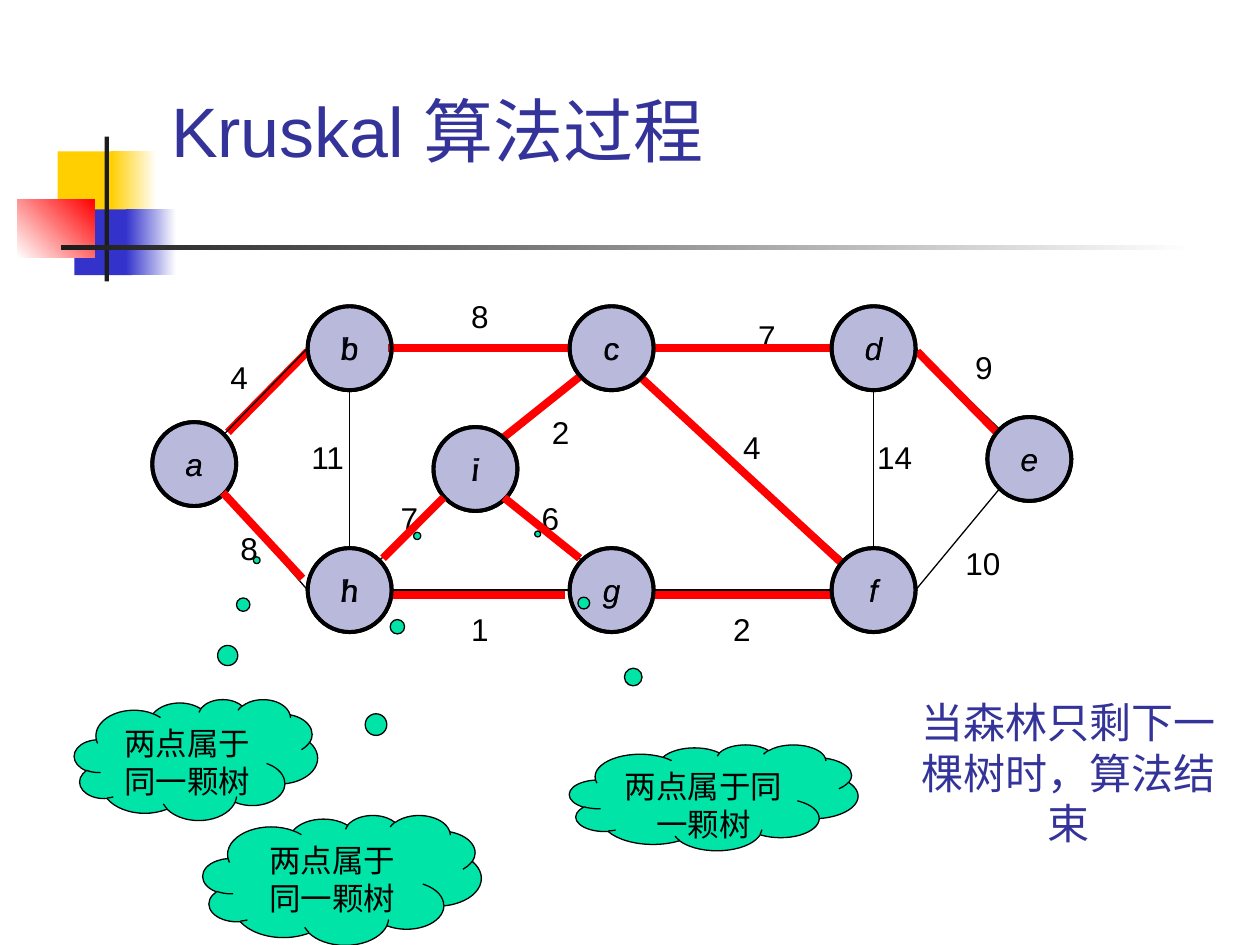
from dataclasses import dataclass
from typing import NamedTuple

from lxml import etree
from pptx import Presentation
from pptx.dml.color import RGBColor
from pptx.enum.shapes import MSO_CONNECTOR, MSO_SHAPE
from pptx.enum.text import MSO_ANCHOR, PP_ALIGN
from pptx.oxml.ns import qn
from pptx.util import Pt

RECT, OVAL, CLOUD = MSO_SHAPE.RECTANGLE, MSO_SHAPE.OVAL, MSO_SHAPE.CLOUD_CALLOUT
LINE = MSO_CONNECTOR.STRAIGHT
LEFT, CENTER = PP_ALIGN.LEFT, PP_ALIGN.CENTER
TOP, MIDDLE = MSO_ANCHOR.TOP, MSO_ANCHOR.MIDDLE


@dataclass(frozen=True)
class Theme:
    ink: str = "000000"
    white: str = "FFFFFF"
    navy: str = "333399"
    tree: str = "FF0000"
    cloud: str = "00E4A8"
    gold: str = "FFCF01"
    blue: str = "3333CC"
    bar: str = "1C1C1C"
    font: str = "Arial"
    alt: str = "Lato"
    title: int = 40
    note: int = 24
    body: int = 18
    thin: float = 0.75
    ring: float = 2.25
    thick: float = 4.5
    tint: int = 34


T = Theme()


class Box(NamedTuple):
    left: float
    top: float
    width: float
    height: float


class Block(NamedTuple):
    box: Box
    color: str
    end: str = ""
    angle: int = 0


class Node(NamedTuple):
    x: float
    y: float
    slant: bool = True  # whether the lower disc has an italic letter


class Edge(NamedTuple):
    start: str
    out: str
    stop: str
    into: str


class Label(NamedTuple):
    text: str
    left: float
    top: float
    width: float = 23


class Cloud(NamedTuple):
    box: Box
    tail: tuple[float, float]
    font: str


BLOCKS = [
    Block(Box(33, 86.5, 34.5, 37.5), T.gold),
    Block(Box(63.5, 86.5, 26, 37.5), T.gold, T.white),
    Block(Box(42.5, 119.7, 33, 37.5), T.blue),
    Block(Box(72, 119.7, 28.8, 37.5), T.blue, T.white),
    Block(Box(10, 113.8, 44, 33.4), T.white, T.tree, 45),
    Block(Box(59.8, 78, 2.4, 82.8), T.bar),
    Block(Box(34.8, 140.2, 648, 2.4), T.bar, T.white),
]

RADIUS = 24
COL1, COL2, COL3 = 199.8, 349.5, 499.2
ROW1, ROW2 = 199, 337.2
NODES = {
    "b": Node(COL1, ROW1, False), "c": Node(COL2, ROW1, False),
    "h": Node(COL1, ROW2, False), "i": Node(271.7, 268, False),
    "f": Node(COL3, ROW2), "a": Node(111, 265.2), "e": Node(588.2, 262.3),
    "d": Node(COL3, ROW1), "g": Node(COL2, ROW2),
}

DIAG = 0.707
SIDES = {
    "n": (0, -1), "s": (0, 1), "w": (-1, 0), "e": (1, 0),
    "nw": (-DIAG, -DIAG), "ne": (DIAG, -DIAG),
    "sw": (-DIAG, DIAG), "se": (DIAG, DIAG),
}
EDGES = [Edge(*row.split()) for row in (
    "b w a ne", "c w b e", "h w a se", "c e d w", "h e g w", "c sw i ne",
    "i sw h ne", "b s h n", "d e e nw", "g e f w", "d s f n", "c se f nw",
    "i se g nw", "e sw f e",
)]

# Tree edges as x1, y1, x2, y2, by layer: below thin edges, below discs, on top
FIRST = (130.3, 247, 175.7, 200.9)
INNER = [
    (221.8, 198.7, 325.4, 198.7), (288, 249.8, 331.2, 215.3),
    (224.6, 339.8, 322.6, 339.8), (374.4, 198.7, 475.2, 198.7),
    (365.8, 215.3, 481, 321.8), (374.4, 339.8, 475.2, 339.8),
    (524.2, 200.9, 569.5, 247),
]
UPPER = [
    (288, 284.4, 331.2, 319), (218.9, 319, 253.4, 284.4),
    (127.4, 281.5, 172.8, 330.5),
]

LABELS = [
    Label("4", 124.6, 200.9), Label("8", 262.1, 166.3), Label("8", 130.3, 298.8),
    Label("4", 417.6, 241.2), Label("14", 492.5, 247, 37.4),
    Label("7", 426.2, 177.8), Label("9", 550.1, 195.1),
    Label("10", 544.3, 307.4, 34.6), Label("6", 302.4, 281.5),
    Label("7", 221.8, 281.5), Label("2", 308.2, 232.6),
    Label("11", 169.9, 247, 34.6), Label("1", 262.1, 344.9),
    Label("2", 411.8, 344.9),
]

CLOUDS = [
    Cloud(Box(325.4, 425.5, 164.9, 60.5), (-0.61, -2.49), T.font),
    Cloud(Box(115.9, 465.8, 159.1, 74.2), (0.27, -2.65), T.alt),
    Cloud(Box(42.5, 399.6, 139, 69.1), (0.25, -1.65), T.alt),
]


def rgb(code: str) -> RGBColor:
    return RGBColor.from_string(code)


def write(shape, text: str, size: int, color: str = T.ink, font: str = T.font,
          align=CENTER, anchor=TOP, wrap: bool = True, slant: bool = False) -> None:
    frame = shape.text_frame
    frame.text = text
    frame.word_wrap = wrap
    frame.vertical_anchor = anchor
    para = frame.paragraphs[0]
    para.alignment = align
    face = para.runs[0].font
    face.name, face.size, face.italic = font, Pt(size), slant
    face.color.rgb = rgb(color)


def add_text(slide, box: Box, text: str, size: int, **style) -> None:
    write(slide.shapes.add_textbox(*map(Pt, box)), text, size, **style)


def add_shape(slide, kind, box: Box, fill: str, width: float = 0):
    shape = slide.shapes.add_shape(kind, *map(Pt, box))
    shape.shadow.inherit = False
    shape.fill.solid()
    shape.fill.fore_color.rgb = rgb(fill)
    if width:
        shape.line.color.rgb = rgb(T.ink)
        shape.line.width = Pt(width)
    else:
        shape.line.fill.background()
    return shape


def add_block(slide, block: Block) -> None:
    shape = add_shape(slide, RECT, block.box, block.color)
    if block.end:
        shape.fill.gradient()
        shape.fill.gradient_angle = block.angle
        for stop, code in zip(shape.fill.gradient_stops, (block.color, block.end)):
            stop.color.rgb = rgb(code)


def add_line(slide, ends: tuple, color: str, width: float) -> None:
    line = slide.shapes.add_connector(LINE, *map(Pt, ends))
    line.line.color.rgb = rgb(color)
    line.line.width = Pt(width)
    etree.SubElement(line._element.spPr, qn("a:effectLst"))


def add_node(slide, name: str, node: Node, tinted: bool) -> None:
    box = Box(node.x - RADIUS, node.y - RADIUS, 2 * RADIUS, 2 * RADIUS)
    disc = add_shape(slide, OVAL, box, T.navy if tinted else T.white, T.ring)
    if tinted:
        color = disc._element.spPr.find(qn("a:solidFill"))[0]
        etree.SubElement(color, qn("a:alpha"), val=str(T.tint * 1000))
    write(disc, name, T.body, anchor=MIDDLE, wrap=False, slant=tinted or node.slant)


def rim(name: str, side: str) -> tuple[float, float]:
    """Return the point on a node's circle that faces the given side."""
    node, (dx, dy) = NODES[name], SIDES[side]
    return node.x + RADIUS * dx, node.y + RADIUS * dy


def main() -> None:
    deck = Presentation()
    deck.slide_width, deck.slide_height = Pt(720), Pt(540)
    slide = deck.slides.add_slide(deck.slide_layouts[6])
    for block in BLOCKS:
        add_block(slide, block)
    add_text(slide, Box(90.7, 16.6, 613.4, 115.2), "Kruskal 算法过程", T.title,
             color=T.navy, align=LEFT, anchor=MIDDLE)
    for name, node in NODES.items():
        add_node(slide, name, node, False)
    add_line(slide, FIRST, T.tree, T.thick)
    for edge in EDGES:
        ends = rim(edge.start, edge.out) + rim(edge.stop, edge.into)
        add_line(slide, ends, T.ink, T.thin)
    for label in LABELS:
        add_text(slide, Box(label.left, label.top, label.width, 28.8), label.text,
                 T.body, wrap=False)
    for ends in INNER:
        add_line(slide, ends, T.tree, T.thick)
    for name, node in NODES.items():
        add_node(slide, name, node, True)
    for ends in UPPER:
        add_line(slide, ends, T.tree, T.thick)
    for cloud in CLOUDS:
        shape = add_shape(slide, CLOUD, cloud.box, T.cloud, T.thin)
        shape.adjustments[0], shape.adjustments[1] = cloud.tail
        write(shape, "两点属于同一颗树", T.body, font=cloud.font)
    add_text(slide, Box(515.5, 373.7, 190, 135.4), "当森林只剩下一棵树时，算法结束",
             T.note, color=T.navy, anchor=MIDDLE)
    deck.save("out.pptx")


if __name__ == "__main__":
    main()
